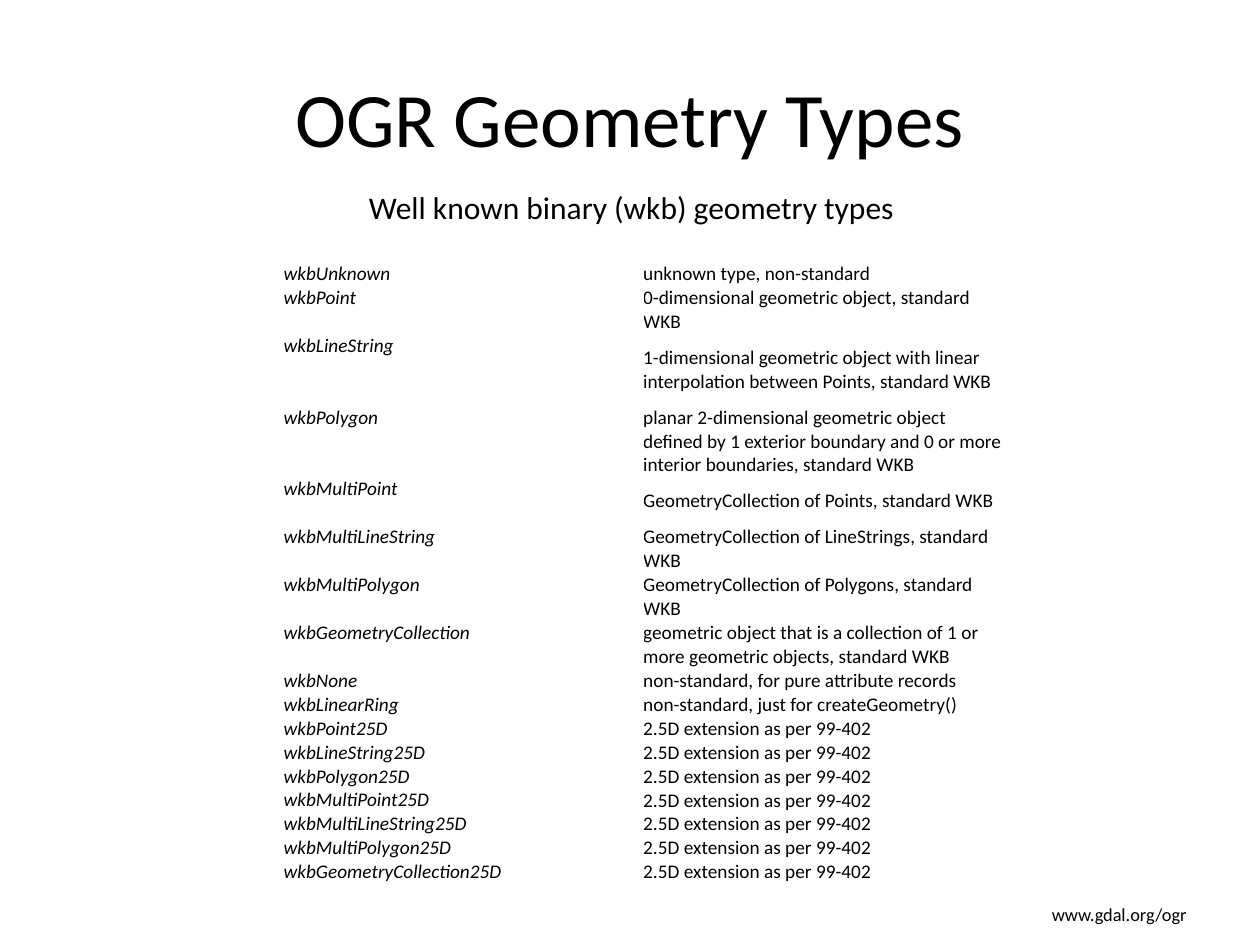
from pptx import Presentation
from pptx.dml.color import RGBColor
from pptx.enum.text import MSO_ANCHOR, PP_ALIGN
from pptx.util import Inches, Pt

BLACK = RGBColor(0, 0, 0)
FONT = "Calibri"
LINE_HEIGHT = 0.19
EXTENSION = "2.5D extension as per 99-402"

# Type name, description, row height in text lines
GEOMETRY_TYPES = [
    ("wkbUnknown", "unknown type, non-standard", 1),
    ("wkbPoint", "0-dimensional geometric object, standard WKB", 2),
    ("wkbLineString", "1-dimensional geometric object with linear "
     "interpolation between Points, standard WKB", 3),
    ("wkbPolygon", "planar 2-dimensional geometric object defined by 1 exterior "
     "boundary and 0 or more interior boundaries, standard WKB", 3),
    ("wkbMultiPoint", "GeometryCollection of Points, standard WKB", 2),
    ("wkbMultiLineString", "GeometryCollection of LineStrings, standard WKB", 2),
    ("wkbMultiPolygon", "GeometryCollection of Polygons, standard WKB", 2),
    ("wkbGeometryCollection", "geometric object that is a collection of 1 or "
     "more geometric objects, standard WKB", 2),
    ("wkbNone", "non-standard, for pure attribute records", 1),
    ("wkbLinearRing", "non-standard, just for createGeometry()", 1),
    ("wkbPoint25D", EXTENSION, 1),
    ("wkbLineString25D", EXTENSION, 1),
    ("wkbPolygon25D", EXTENSION, 1),
    ("wkbMultiPoint25D", EXTENSION, 1),
    ("wkbMultiLineString25D", EXTENSION, 1),
    ("wkbMultiPolygon25D", EXTENSION, 1),
    ("wkbGeometryCollection25D", EXTENSION, 1),
]


def write_text(frame, text, *, size, italic=False, align=PP_ALIGN.LEFT):
    paragraph = frame.paragraphs[0]
    paragraph.alignment = align
    run = paragraph.add_run()
    run.text = text
    run.font.name = FONT
    run.font.size = Pt(size)
    run.font.italic = italic
    run.font.color.rgb = BLACK


def add_text(slide, text, left, top, width, height, *,
             wrap=True, anchor=MSO_ANCHOR.TOP, **text_format):
    box = slide.shapes.add_textbox(
        Inches(left), Inches(top), Inches(width), Inches(height))
    frame = box.text_frame
    frame.word_wrap = wrap
    frame.vertical_anchor = anchor
    write_text(frame, text, **text_format)


def fill_cell(cell, text, *, anchor, **text_format):
    cell.fill.background()
    cell.margin_left = cell.margin_right = 0
    cell.margin_top = cell.margin_bottom = 0
    cell.vertical_anchor = anchor
    write_text(cell.text_frame, text, size=11, **text_format)


def add_type_table(slide, left, top, width):
    total_lines = sum(lines for _, _, lines in GEOMETRY_TYPES)
    table = slide.shapes.add_table(
        len(GEOMETRY_TYPES), 2, Inches(left), Inches(top),
        Inches(width), Inches(LINE_HEIGHT * total_lines)).table
    table.first_row = False
    table.horz_banding = False
    for row, (name, description, lines) in enumerate(GEOMETRY_TYPES):
        table.rows[row].height = Inches(LINE_HEIGHT * lines)
        fill_cell(table.cell(row, 0), name, anchor=MSO_ANCHOR.TOP, italic=True)
        fill_cell(table.cell(row, 1), description, anchor=MSO_ANCHOR.MIDDLE)


def main():
    presentation = Presentation()
    presentation.slide_width = Inches(10)
    presentation.slide_height = Inches(7.5)
    slide = presentation.slides.add_slide(presentation.slide_layouts[6])

    # Heading
    add_text(slide, "OGR Geometry Types", 0.5, 0.3, 9, 1.25, size=44,
             anchor=MSO_ANCHOR.MIDDLE, align=PP_ALIGN.CENTER)

    # Geometry types
    add_type_table(slide, 2.25, 2.08, 5.71)
    add_text(slide, "Well known binary (wkb) geometry types",
             2.83, 1.44, 4.42, 0.4, size=18, wrap=False)

    # Web address
    add_text(slide, "www.gdal.org/ogr", 8.25, 7.12, 1.48, 0.29, size=10.5)

    presentation.save("out.pptx")


main()
